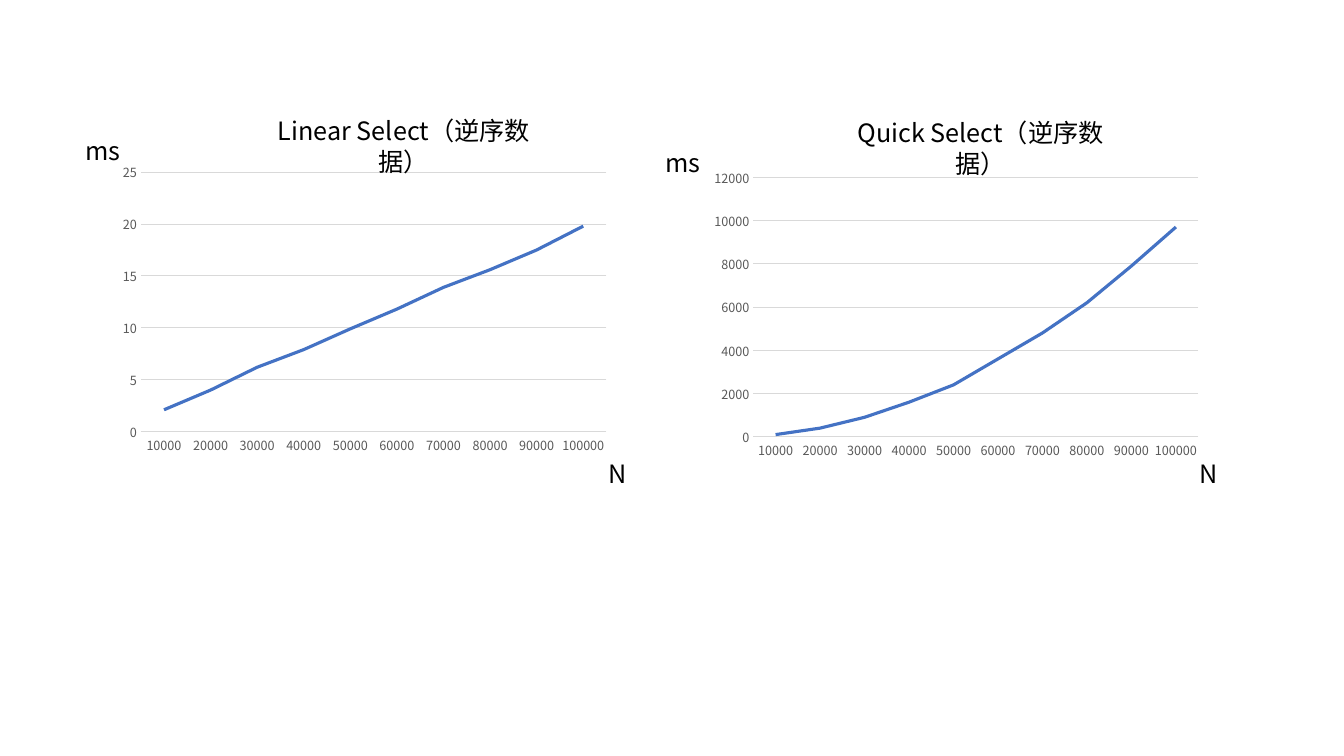
from dataclasses import dataclass

from lxml.etree import SubElement
from pptx import Presentation
from pptx.chart.data import CategoryChartData
from pptx.dml.color import RGBColor
from pptx.enum.chart import XL_CHART_TYPE as ChartType, XL_TICK_MARK as TickMark
from pptx.enum.text import MSO_AUTO_SIZE as AutoSize, PP_ALIGN as Align
from pptx.oxml.ns import qn
from pptx.slide import Slide
from pptx.text.text import Font
from pptx.util import Cm, Pt

FONT = "Noto Sans CJK SC"
BLACK = "000000"
AXIS_TEXT = "595959"
GRID = "D9D9D9"
CURVE = "4472C4"
SIZES = [str(size) for size in range(10000, 100001, 10000)]


@dataclass
class Label:
    text: str
    left: float
    top: float
    width: float = 2.26


@dataclass
class TimingChart:
    left: float
    top: float
    milliseconds: list[float]
    maximum: int
    step: int
    labels: list[Label]


CHARTS = [
    TimingChart(
        2.84, 3.96, [2.1, 4, 6.2, 7.9, 9.9, 11.8, 13.9, 15.6, 17.5, 19.8], 25, 5,
        [
            Label("Linear Select（逆序数据）", 6.32, 2.79, 7.72),
            Label("N", 14.43, 11.43),
            Label("ms", 1.47, 3.28),
        ],
    ),
    TimingChart(
        17.75, 4.09, [100, 400, 900, 1600, 2400, 3600, 4800, 6200, 7900, 9700], 12000, 2000,
        [
            Label("ms", 16.08, 3.58),
            Label("N", 29.34, 11.43),
            Label("Quick Select（逆序数据）", 20.85, 2.84, 7.72),
        ],
    ),
]


def color(value: str) -> RGBColor:
    return RGBColor.from_string(value)


def style_font(font: Font, size: float, value: str) -> None:
    font.name = FONT
    font.size = Pt(size)
    font.color.rgb = color(value)


def draw_label(slide: Slide, label: Label) -> None:
    box = slide.shapes.add_textbox(Cm(label.left), Cm(label.top), Cm(label.width), Cm(1.02))
    frame = box.text_frame
    frame.word_wrap = True
    frame.auto_size = AutoSize.SHAPE_TO_FIT_TEXT
    paragraph = frame.paragraphs[0]
    paragraph.alignment = Align.CENTER
    run = paragraph.add_run()
    run.text = label.text
    style_font(run.font, 18, BLACK)
    SubElement(run.font._element, qn("a:ea"), typeface=FONT)


def draw_chart(slide: Slide, timing: TimingChart) -> None:
    data = CategoryChartData()
    data.categories = SIZES
    data.add_series("Series 1", timing.milliseconds)
    frame = slide.shapes.add_chart(
        ChartType.LINE, Cm(timing.left), Cm(timing.top), Cm(12.7), Cm(7.62), data
    )
    chart = frame.chart
    chart.has_title = False
    chart.has_legend = False
    style_font(chart.font, 10, BLACK)

    for axis in (chart.category_axis, chart.value_axis):
        axis.major_tick_mark = TickMark.NONE
        axis.minor_tick_mark = TickMark.NONE
        style_font(axis.tick_labels.font, 9, AXIS_TEXT)

    values = chart.value_axis
    values.minimum_scale = 0
    values.maximum_scale = timing.maximum
    values.major_unit = timing.step
    values.has_major_gridlines = True
    values.format.line.fill.background()
    for line in (chart.category_axis.format.line, values.major_gridlines.format.line):
        line.color.rgb = color(GRID)
        line.width = Pt(0.75)

    plot = chart.plots[0]
    plot.vary_by_categories = False
    series = plot.series[0]
    series.smooth = False
    series.format.line.color.rgb = color(CURVE)
    series.format.line.width = Pt(2.25)


def main() -> None:
    presentation = Presentation()
    presentation.slide_width = Cm(33.87)
    presentation.slide_height = Cm(19.05)
    slide = presentation.slides.add_slide(presentation.slide_layouts[6])
    for timing in CHARTS:
        draw_chart(slide, timing)
        for label in timing.labels:
            draw_label(slide, label)
    presentation.save("out.pptx")


if __name__ == "__main__":
    main()
